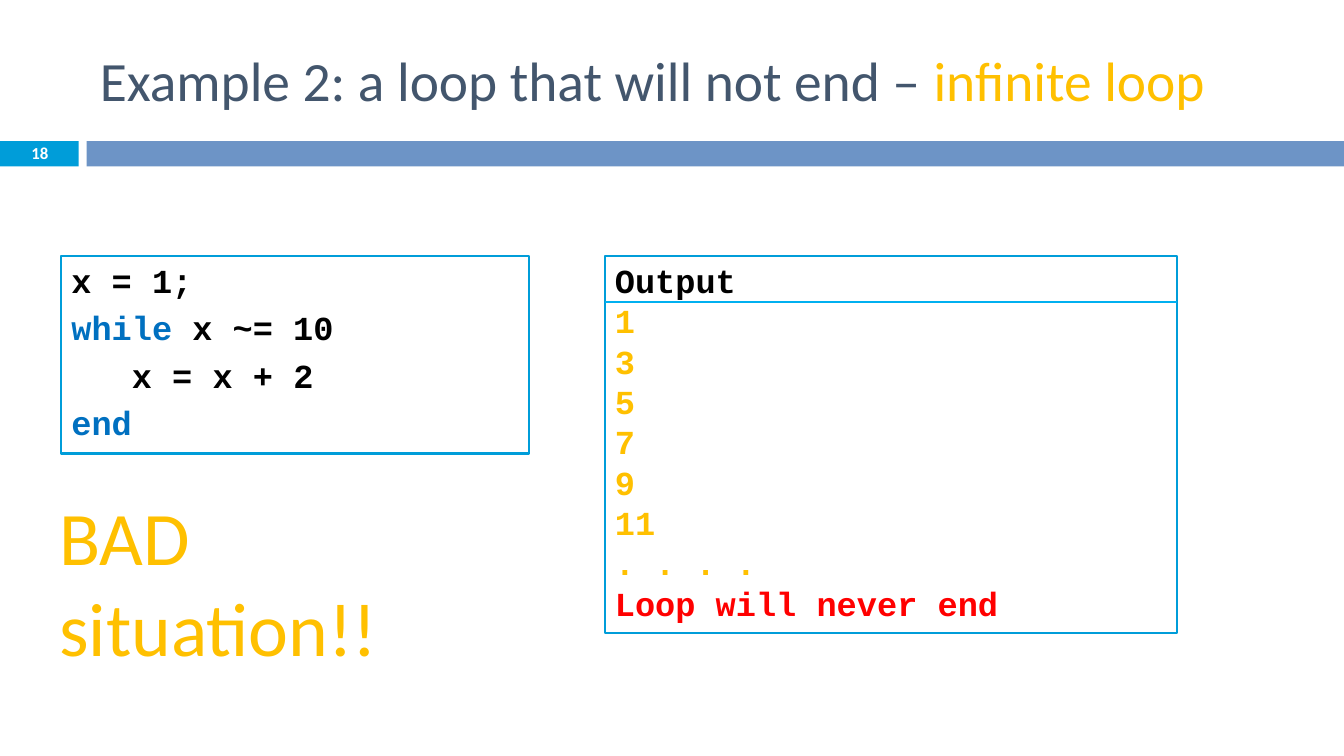
import pptx
import pptx.util
import pptx.dml.color
import pptx.enum.shapes
import pptx.enum.text
import pptx.oxml
from dataclasses import dataclass

Inches, Pt = pptx.util.Inches, pptx.util.Pt


@dataclass(frozen=True)
class Theme:
    text_font: str = "Calibri"
    code_font: str = "Courier New"
    title_size: float = 39.6
    code_size: float = 24
    warning_size: float = 54
    number_size: float = 12
    accent: str = "009DD9"
    band: str = "6D94C6"
    rule: str = "00B0F0"
    title: str = "43566D"
    gold: str = "FFC000"
    keyword: str = "0070C0"
    alert: str = "FF0000"
    black: str = "000000"
    white: str = "FFFFFF"


THEME = Theme()

# Content: each line is a list of (text, colour) spans
TITLE = [[("Example 2: a loop that will not end – ", THEME.title), ("infinite loop", THEME.gold)]]
CODE = [
    [("x = 1;", THEME.black)],
    [("while ", THEME.keyword), ("x ~= 10", THEME.black)],
    [("   x = x + 2", THEME.black)],
    [("end", THEME.keyword)],
]
OUTPUT = (
    [[("Output", THEME.black)]]
    + [[(value, THEME.gold)] for value in ("1", "3", "5", "7", "9", "11", ". . . .")]
    + [[("Loop will never end", THEME.alert)]]
)
WARNING = [[("BAD situation!!", THEME.gold)]]
NUMBER = [[("18", THEME.white)]]

# Layout in inches
BAND_TOP, BAND_HEIGHT = 1.4, 0.25
PANEL_TOP, PANEL_INSET = 2.54, 0.04
OUTPUT_LEFT, OUTPUT_WIDTH = 6, 5.67
RULE_TOP = 3


def colour(value):
    return pptx.dml.color.RGBColor.from_string(value)


def write(frame, lines, font, size, bold=False, align=pptx.enum.text.PP_ALIGN.LEFT,
          pitch=None, gap=0):
    frame.word_wrap = True
    for index, spans in enumerate(lines):
        para = frame.paragraphs[0] if index == 0 else frame.add_paragraph()
        para.alignment = align
        para.space_before = Pt(gap if index else 0)
        if pitch:
            para.line_spacing = Pt(pitch)
        para.font.name, para.font.size, para.font.bold = font, Pt(size), bold
        for text, shade in spans:
            span = para.add_run()
            span.text = text
            span.font.color.rgb = colour(shade)


def add_box(page, left, top, width, height, fill, line=None):
    box = page.shapes.add_shape(pptx.enum.shapes.MSO_SHAPE.RECTANGLE,
                                Inches(left), Inches(top), Inches(width), Inches(height))
    box.shadow.inherit = False
    box.fill.solid()
    box.fill.fore_color.rgb = colour(fill)
    if line:
        box.line.color.rgb = colour(line)
        box.line.width = Pt(1.5)
    else:
        box.line.fill.background()
    return box


def add_panel(page, left, width, height, lines, gap=0):
    panel = add_box(page, left, PANEL_TOP, width, height, THEME.white, THEME.accent)
    frame = panel.text_frame
    frame.vertical_anchor = pptx.enum.text.MSO_ANCHOR.TOP
    frame.margin_top = Inches(PANEL_INSET)
    write(frame, lines, THEME.code_font, THEME.code_size, bold=True, pitch=28.8, gap=gap)


def add_label(page, left, top, width, height):
    label = page.shapes.add_textbox(Inches(left), Inches(top), Inches(width), Inches(height))
    return label.text_frame


def main():
    deck = pptx.Presentation()
    deck.slide_width, deck.slide_height = Inches(13.33), Inches(7.5)
    page = deck.slides.add_slide(deck.slide_layouts[5])

    # Band under the title
    add_box(page, 0, BAND_TOP, 0.78, BAND_HEIGHT, THEME.accent)
    add_box(page, 0.86, BAND_TOP, 12.47, BAND_HEIGHT, THEME.band)

    # Title
    title = page.shapes.title
    title.left, title.top = Inches(0.89), Inches(0.25)
    title.width, title.height = Inches(11.89), Inches(1.08)
    title.text_frame.vertical_anchor = pptx.enum.text.MSO_ANCHOR.MIDDLE
    write(title.text_frame, TITLE, THEME.text_font, THEME.title_size)

    # Code and its output
    add_panel(page, 0.61, 4.64, 1.96, CODE, gap=5)
    add_panel(page, OUTPUT_LEFT, OUTPUT_WIDTH, 3.74, OUTPUT)

    # Rule under the output heading
    rule = page.shapes.add_connector(pptx.enum.shapes.MSO_CONNECTOR.STRAIGHT,
                                     Inches(OUTPUT_LEFT), Inches(RULE_TOP),
                                     Inches(OUTPUT_LEFT + OUTPUT_WIDTH), Inches(RULE_TOP))
    rule.line.color.rgb = colour(THEME.rule)
    rule.line.width = Pt(1.5)
    rule._element.spPr.append(pptx.oxml.parse_xml(
        '<a:effectLst xmlns:a="http://schemas.openxmlformats.org/drawingml/2006/main"/>'))

    # Warning and slide number
    write(add_label(page, 0.49, 4.81, 4.48, 1.01), WARNING, THEME.text_font, THEME.warning_size)
    write(add_label(page, 0.02, 1.37, 0.75, 0.3), NUMBER, THEME.text_font, THEME.number_size,
          bold=True, align=pptx.enum.text.PP_ALIGN.CENTER)

    deck.save("out.pptx")


if __name__ == "__main__":
    main()
